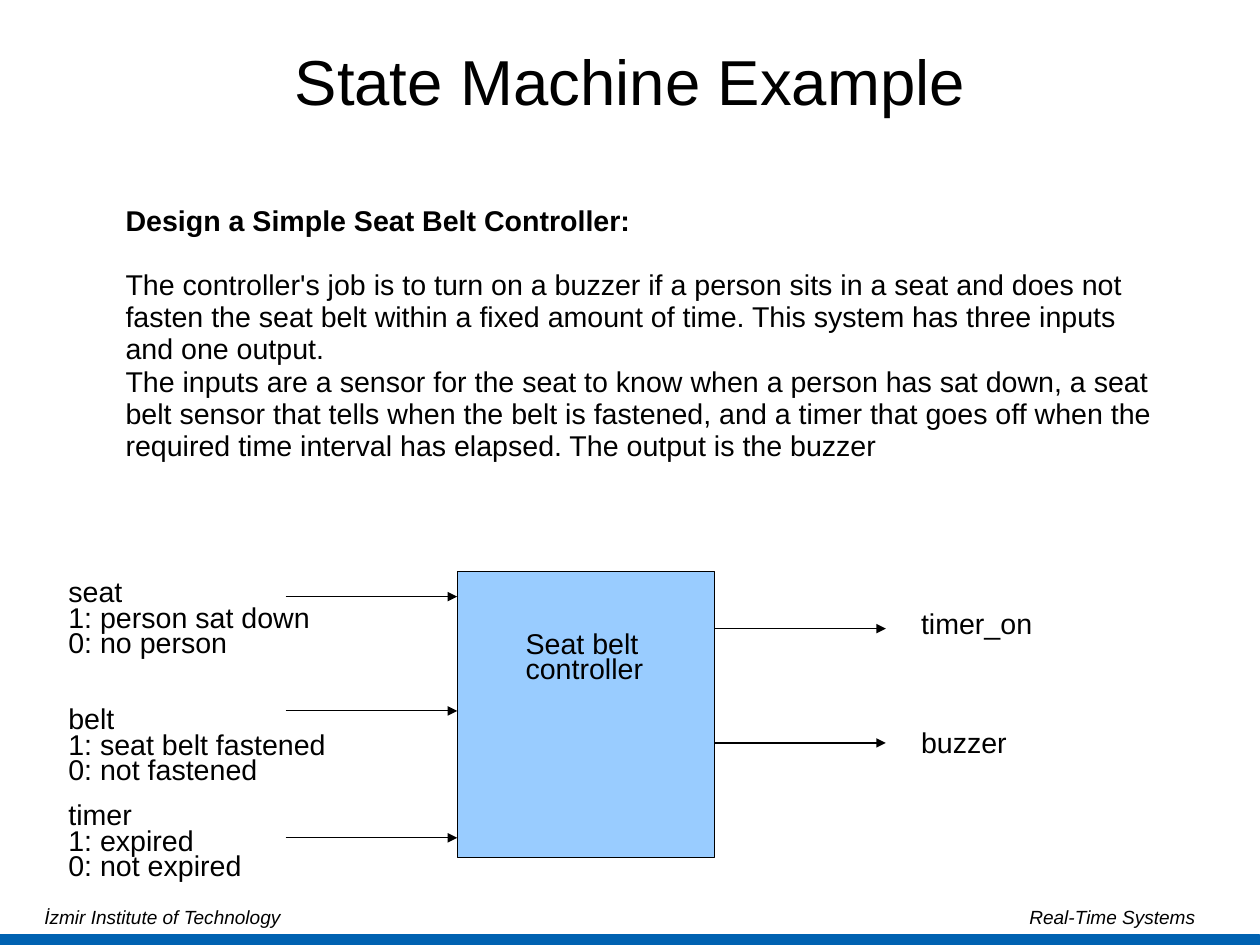
from pptx import Presentation
from pptx.dml.color import RGBColor
from pptx.enum.shapes import MSO_CONNECTOR, MSO_SHAPE
from pptx.enum.text import MSO_ANCHOR, MSO_AUTO_SIZE, PP_ALIGN
from pptx.oxml.ns import qn
from pptx.util import Cm, Inches, Pt
from lxml.etree import SubElement

COLORS = {"text": "000000", "line": "000000", "controller": "99CCFF", "bar": "0062B1"}
SLIDE_WIDTH, SLIDE_HEIGHT = Cm(28), Cm(21)
TIGHT = {"line_spacing": 0.72, "space_before": Pt(0.3), "space_after": Pt(0.3)}
LOOSE = {**TIGHT, "line_spacing": 0.93}

DESCRIPTION = [
    "The controller's job is to turn on a buzzer if a person sits in a seat and does not "
    "fasten the seat belt within a fixed amount of time. This system has three inputs "
    "and one output.",
    "The inputs are a sensor for the seat to know when a person has sat down, a seat belt "
    "sensor that tells when the belt is fastened, and a timer that goes off when the "
    "required time interval has elapsed. The output is the buzzer",
]
# Label lines, label offset and arrow offset, both from the top of the diagram
INPUTS = [
    (["seat", "1: person sat down", "0: no person"], 0.05, 0.22),
    (["belt", "1: seat belt fastened", "0: not fastened"], 1.16, 1.22),
    (["timer", "1: expired", "0: not expired"], 2, 2.33),
]
OUTPUTS = [(["timer_on"], 0.33, 0.5), (["buzzer"], 1.37, 1.5)]


def color(name):
    return RGBColor.from_string(COLORS[name])


def set_values(target, values):
    for name, value in values.items():
        setattr(target, name, value)


def write(frame, lines, paragraph_format, size=18, **font_format):
    """Fill a text frame with one paragraph per line and return the paragraphs."""
    frame.word_wrap = True
    frame.auto_size = MSO_AUTO_SIZE.NONE
    for index, line in enumerate(lines):
        paragraph = frame.add_paragraph() if index else frame.paragraphs[0]
        set_values(paragraph, paragraph_format)
        run = paragraph.add_run()
        run.text = line
        set_values(run.font, {"name": "Arial", "size": Pt(size), **font_format})
        run.font.color.rgb = color("text")
    return frame.paragraphs


def add_text(slide, box, lines, paragraph_format=TIGHT, **font_format):
    shape = slide.shapes.add_textbox(*map(Inches, box))
    return write(shape.text_frame, lines, paragraph_format, **font_format)


def add_block(slide, box, fill, line):
    shape = slide.shapes.add_shape(MSO_SHAPE.RECTANGLE, *map(Inches, box))
    shape.shadow.inherit = False
    shape.fill.solid()
    shape.fill.fore_color.rgb = color(fill)
    shape.line.color.rgb = color(line)
    shape.line.width = Pt(0.75)


def add_arrow(slide, left, top, length):
    arrow = slide.shapes.add_connector(
        MSO_CONNECTOR.STRAIGHT, *map(Inches, (left, top, left + length, top)))
    arrow.line.color.rgb = color("line")
    arrow.line.width = Pt(0.75)
    SubElement(arrow.line._get_or_add_ln(), qn("a:tailEnd"), type="triangle")
    SubElement(arrow._element.spPr, qn("a:effectLst"))


def add_title(slide, box, text):
    title = slide.shapes.title
    set_values(title, dict(zip(("left", "top", "width", "height"), map(Inches, box))))
    frame = title.text_frame
    set_values(frame, {"margin_left": 0, "margin_right": 0, "margin_top": 0,
                       "margin_bottom": 0, "vertical_anchor": MSO_ANCHOR.MIDDLE})
    write(frame, [text], {**TIGHT, "alignment": PP_ALIGN.CENTER}, size=40)


def add_description(slide, box):
    paragraphs = add_text(
        slide, box, ["Design a Simple Seat Belt Controller:", *DESCRIPTION], LOOSE)
    paragraphs[0].runs[0].font.bold = True
    paragraphs[0].space_after = Pt(20.4)


def add_diagram(slide, box):
    """Place inputs, controller and outputs from left to right."""
    left, top, _, height = box
    controller_left, controller_width, arrow_length = left + 3.5, 2.25, 1.5
    controller_right = controller_left + controller_width
    add_block(slide, (controller_left, top, controller_width, height), "controller", "line")
    add_text(slide, (controller_left + 0.5, top + 0.5, 1.25, 0.59), ["Seat belt", "controller"])
    for lines, label_offset, arrow_offset in INPUTS:
        add_arrow(slide, controller_left - arrow_length, top + arrow_offset, arrow_length)
        add_text(slide, (left, top + label_offset, 2.5, 0.81), lines)
    for lines, label_offset, arrow_offset in OUTPUTS:
        add_arrow(slide, controller_right, top + arrow_offset, arrow_length)
        add_text(slide, (controller_right + 1.71, top + label_offset, 1.5, 0.38), lines)


def add_footer(slide, box):
    left, top, width, height = box
    add_block(slide, (left, top + height - 0.09, width, 0.09), "bar", "bar")
    paragraph = add_text(
        slide, (left + 0.29, top, 10.5, 0.35),
        ["İzmir Institute of Technology\tReal-Time Systems"],
        {**LOOSE, "space_before": Pt(1.4), "space_after": Pt(1.4)}, size=12, italic=True)[0]
    tabs = SubElement(paragraph._p.get_or_add_pPr(), qn("a:tabLst"))
    SubElement(tabs, qn("a:tab"), pos=str(Inches(10.07)), algn="r")


def main():
    presentation = Presentation()
    presentation.slide_width = SLIDE_WIDTH
    presentation.slide_height = SLIDE_HEIGHT
    slide = presentation.slides.add_slide(presentation.slide_layouts[5])
    add_title(slide, (0.81, 0.31, 9.4, 0.94), "State Machine Example")
    add_description(slide, (1, 1.75, 9.25, 2.34))
    add_diagram(slide, (0.5, 5, 8.96, 2.5))
    add_footer(slide, (0, 7.89, SLIDE_WIDTH.inches, 0.38))
    presentation.save("out.pptx")


if __name__ == "__main__":
    main()
